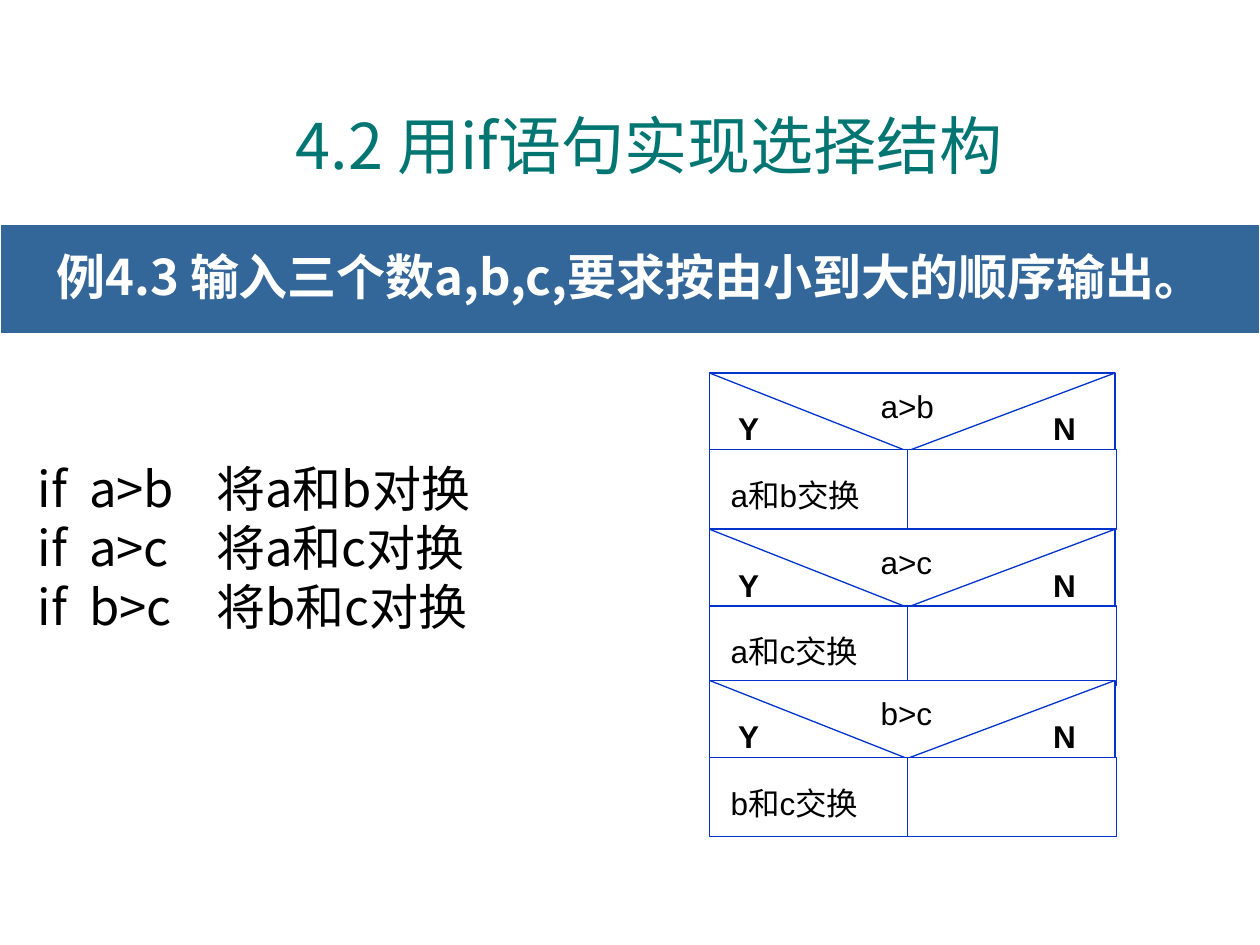
from lxml import etree
from pptx import Presentation
from pptx.dml.color import RGBColor
from pptx.enum import shapes, text
from pptx.oxml import ns
from pptx.util import Inches, Pt

TEAL = RGBColor(0x00, 0x75, 0x72)
STEEL = RGBColor(0x33, 0x66, 0x99)
BLUE = RGBColor(0x00, 0x33, 0xCC)
WHITE = RGBColor(0xFF, 0xFF, 0xFF)
BLACK = RGBColor(0x00, 0x00, 0x00)
LATIN, CJK = "Arial", "Noto Sans CJK SC"

# Content
TITLE = "4.2 用if语句实现选择结构"
EXAMPLE = "例4.3 输入三个数a,b,c,要求按由小到大的顺序输出。"
STEPS = [
    ("if", "a>b", "将a和b对换"),
    ("if", "a>c", "将a和c对换"),
    ("if", "b>c", "将b和c对换"),
]
STEP_TABS = (0.41, 1.42)
# Flowchart blocks: top, condition, action
BLOCKS = [
    (2.96, "a>b", "a和b交换"),
    (4.2, "a>c", "a和c交换"),
    (5.4, "b>c", "b和c交换"),
]
LEFT, MIDDLE, RIGHT = 5.63, 7.2, 8.85
HEAD_H, BODY_H = 0.62, 0.63


def style(p, size, color, font=LATIN, bold=False):
    for r in p.runs:
        r.font.size, r.font.bold, r.font.name = Pt(size), bold, font
        r.font.color.rgb = color
        ea = etree.SubElement(r._r.get_or_add_rPr(), ns.qn("a:ea"))
        ea.set("typeface", CJK)


def add_box(s, x, y, w, h, fill, line):
    sp = s.shapes.add_shape(shapes.MSO_SHAPE.RECTANGLE,
                            Inches(x), Inches(y), Inches(w), Inches(h))
    sp.shadow.inherit = False
    sp.fill.solid()
    sp.fill.fore_color.rgb = fill
    sp.line.color.rgb = line
    sp.line.width = Pt(0.75)
    return sp


def add_line(s, x1, y1, x2, y2):
    ln = s.shapes.add_connector(shapes.MSO_CONNECTOR.STRAIGHT,
                                Inches(x1), Inches(y1), Inches(x2), Inches(y2))
    ln.line.color.rgb = BLUE
    ln.line.width = Pt(0.75)
    etree.SubElement(ln._element.spPr, ns.qn("a:effectLst"))


def add_label(s, x, y, w, label, bold=False):
    sp = s.shapes.add_textbox(Inches(x), Inches(y), Inches(w), Inches(0.4))
    tf = sp.text_frame
    tf.word_wrap = False
    tf.text = label
    style(tf.paragraphs[0], 18, BLACK, bold=bold)


def add_block(s, top, condition, action):
    split = top + HEAD_H
    body = split - 0.01
    # Condition with its two diagonals
    add_box(s, LEFT, top, RIGHT - LEFT, HEAD_H, WHITE, BLUE)
    add_line(s, LEFT, top, MIDDLE, split)
    add_line(s, MIDDLE, split, RIGHT, top)
    add_label(s, 5.76, top + 0.24, 0.36, "Y", bold=True)
    add_label(s, 8.26, top + 0.24, 0.38, "N", bold=True)
    add_label(s, 6.89, top + 0.06, 0.65, condition)
    # Yes and no branches
    add_box(s, LEFT, body, RIGHT - LEFT + 0.01, BODY_H, WHITE, BLUE)
    add_line(s, MIDDLE, body, MIDDLE, body + BODY_H)
    add_label(s, 5.7, top + 0.77, 1.45, action)


def main():
    prs = Presentation()
    prs.slide_width, prs.slide_height = Inches(10), Inches(7.5)
    s = prs.slides.add_slide(prs.slide_layouts[5])

    # Title, set slightly right of centre
    sp = s.shapes.title
    sp.left, sp.top, sp.width, sp.height = (
        Inches(v) for v in (0, 0.52, 10, 1.25))
    tf = sp.text_frame
    tf.margin_left, tf.margin_right = Inches(0.4), Inches(0.1)
    tf.vertical_anchor = text.MSO_ANCHOR.MIDDLE
    tf.text = TITLE
    tf.paragraphs[0].alignment = text.PP_ALIGN.CENTER
    style(tf.paragraphs[0], 36, TEAL, CJK)

    # Example banner
    tf = add_box(s, 0, 1.78, 10, 0.87, STEEL, WHITE).text_frame
    tf.vertical_anchor = text.MSO_ANCHOR.MIDDLE
    tf.text = EXAMPLE
    p = tf.paragraphs[0]
    p.alignment, p.line_spacing = text.PP_ALIGN.CENTER, 0.95
    style(p, 28, WHITE, CJK, bold=True)

    # Steps in three tabbed columns
    sp = s.shapes.add_textbox(Inches(0.2), Inches(3.04), Inches(4.25), Inches(2.6))
    tf = sp.text_frame
    tf.word_wrap = True
    tf.vertical_anchor = text.MSO_ANCHOR.MIDDLE
    tf.text = "\n".join("\t".join(step) for step in STEPS)
    for p in tf.paragraphs:
        tabs = etree.SubElement(p._p.get_or_add_pPr(), ns.qn("a:tabLst"))
        for pos in STEP_TABS:
            tab = etree.SubElement(tabs, ns.qn("a:tab"))
            tab.set("pos", str(Inches(pos)))
            tab.set("algn", "l")
        style(p, 28, BLACK, CJK)

    # Flowchart
    for block in BLOCKS:
        add_block(s, *block)

    prs.save("out.pptx")


if __name__ == "__main__":
    main()
